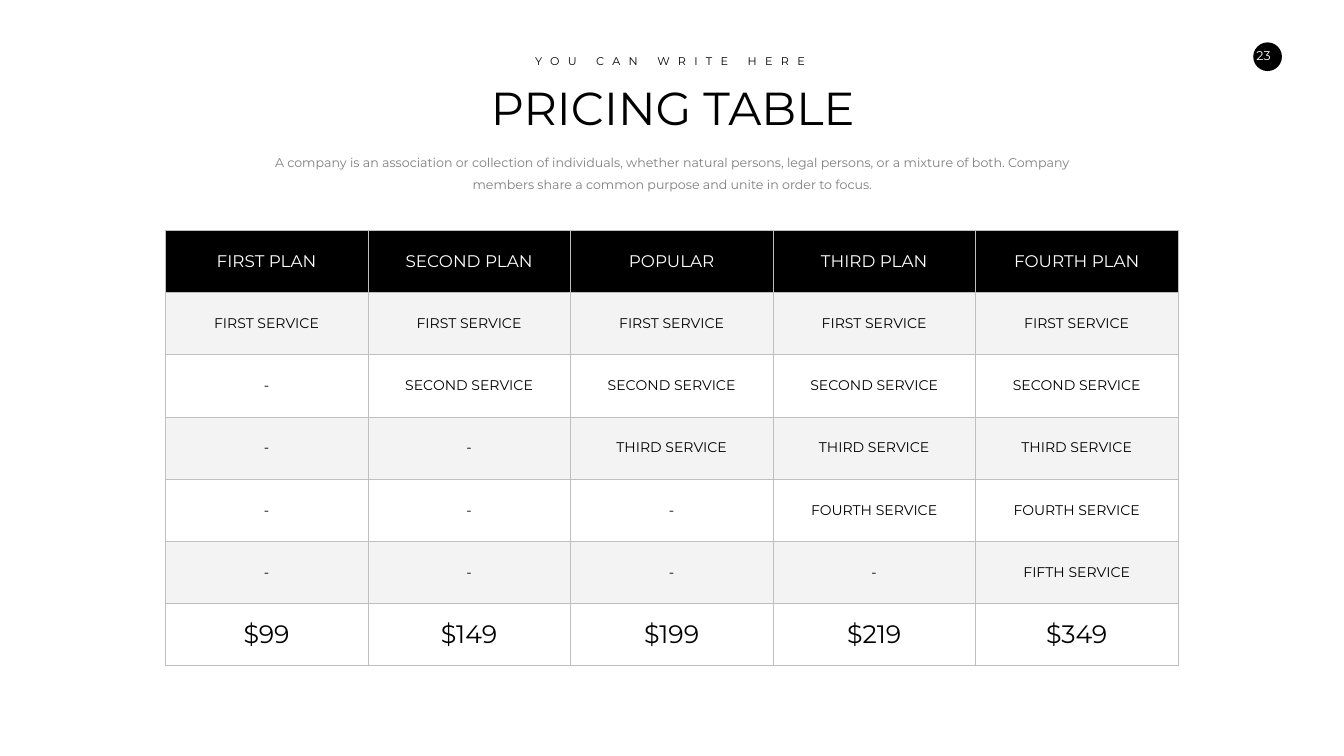
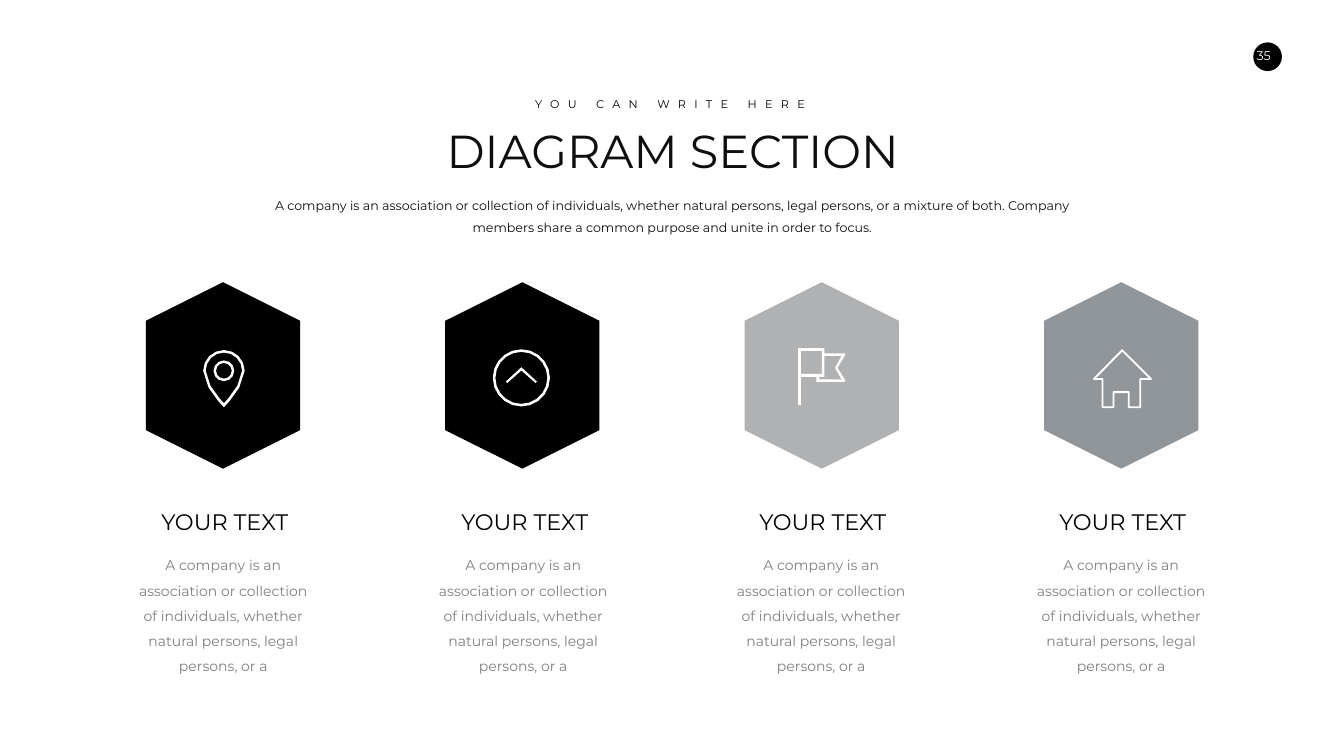
from dataclasses import dataclass
from math import cos, pi, sin

from lxml.etree import SubElement
from pptx import Presentation
from pptx.dml.color import RGBColor
from pptx.enum.shapes import MSO_SHAPE
from pptx.enum.text import MSO_ANCHOR, PP_ALIGN
from pptx.oxml.ns import qn
from pptx.shapes.autoshape import Shape
from pptx.slide import Slide
from pptx.table import _Cell
from pptx.text.text import TextFrame
from pptx.util import Pt

BLACK = RGBColor(0x00, 0x00, 0x00)
INK = RGBColor(0x0E, 0x0E, 0x0E)
WHITE = RGBColor(0xFF, 0xFF, 0xFF)
TEXT_GRAY = RGBColor(0x7F, 0x7F, 0x7F)
BAND_GRAY = RGBColor(0xF3, 0xF3, 0xF3)
BORDER_GRAY = RGBColor(0xBF, 0xBF, 0xBF)
LIGHT_GRAY = RGBColor(0xB0, 0xB1, 0xB3)
STEEL_GRAY = RGBColor(0x91, 0x96, 0x9B)

FONT = "Montserrat"
CENTER_X = 960.7
SUMMARY = ("A company is an association or collection of individuals, whether natural persons, "
           "legal persons, or a mixture of both. Company members share a common purpose "
           "and unite in order to focus.")
STEP_TEXT = ("A company is an association or collection of individuals, whether natural persons, "
             "legal persons, or a")
HEXAGON_LEFT, HEXAGON_PITCH = 185.2, 427.68

PLANS = ["FIRST PLAN", "SECOND PLAN", "POPULAR", "THIRD PLAN", "FOURTH PLAN"]
SERVICES = ["FIRST SERVICE", "SECOND SERVICE", "THIRD SERVICE", "FOURTH SERVICE", "FIFTH SERVICE"]
PRICES = ["$99", "$149", "$199", "$219", "$349"]

Point = tuple[float, float]
Contour = list[Point]


@dataclass
class Box:
    left: float
    top: float
    width: float
    height: float

    def emu(self) -> tuple[Pt, Pt, Pt, Pt]:
        return Pt(self.left), Pt(self.top), Pt(self.width), Pt(self.height)


@dataclass
class Icon:
    left: float
    top: float
    contours: list[Contour]
    outlined: bool = False


@dataclass
class Step:
    color: RGBColor
    text_left: float
    icon: Icon


@dataclass
class TableRow:
    texts: list[str]
    size: float
    fill: RGBColor
    color: RGBColor = BLACK


def circle(cx: float, cy: float, radius: float, steps: int) -> Contour:
    angles = [2 * pi * i / steps for i in range(steps)]
    return [(cx + radius * cos(a), cy + radius * sin(a)) for a in angles]


def pin_outline(cx: float, cy: float, radius: float, tip: float) -> Contour:
    arc_steps, side_steps = 8, 3
    angles = [pi * i / arc_steps for i in range(arc_steps + 1)]
    arc = [(cx + radius * cos(a), cy - radius * sin(a)) for a in angles]
    side = []
    for i in range(1, side_steps + 1):
        t = i / side_steps
        u = 1 - t
        reach = radius * (u ** 3 + 3 * u * u * t)
        y = cy * u ** 3 + 3 * u * u * t * (cy + 0.8 * radius) + tip * (3 * u * t * t + t ** 3)
        side.append((reach, y))
    left = [(cx - reach, y) for reach, y in side]
    right = [(cx + reach, y) for reach, y in reversed(side[:-1])]
    return arc + left + right


PIN = Icon(290.2, 499.7, [
    pin_outline(29.6, 30, 29.6, 82), pin_outline(29.6, 30, 26, 76.3),
    circle(29.6, 30, 14.8, 12), circle(29.6, 30, 11.2, 12)])
ARROW_UP = Icon(703.8, 499, [
    circle(40.8, 40.8, 40.8, 20), circle(40.8, 40.8, 37.1, 20),
    [(40.8, 25.6), (18.7, 46), (20.6, 48.2), (40.8, 30.2), (61, 48.2), (62.9, 46)]])
FLAG = Icon(1140, 497.5, [
    [(0, 0), (37.4, 0), (37.4, 7.2), (67, 7.2), (67, 10), (56.2, 28), (67, 45.4),
     (67, 48.2), (26, 48.2), (26, 41), (4, 41), (4, 81.4), (0, 81.4)],
    [(4, 3.6), (33.8, 3.6), (33.8, 36.7), (4, 36.7)],
    [(30.2, 44.6), (30.2, 41), (37.4, 41), (37.4, 10.8), (62, 10.8), (52.6, 28), (62, 44.6)]])
HOUSE = Icon(1562.4, 500.4, [
    [(40.3, 0), (0, 41), (12.2, 41), (12.2, 81.4), (28, 81.4), (28, 59.8), (49.7, 59.8),
     (49.7, 81.4), (66.2, 81.4), (66.2, 41), (81.4, 41)]], outlined=True)

STEPS = [
    Step(BLACK, 181.4, PIN),
    Step(BLACK, 609.8, ARROW_UP),
    Step(LIGHT_GRAY, 1035.4, FLAG),
    Step(STEEL_GRAY, 1463.8, HOUSE),
]


def write(tf: TextFrame, text: str, *, size: float, color: RGBColor = BLACK,
          line_spacing: float | None = None, tracking: float = 0) -> None:
    tf.word_wrap = True
    p = tf.paragraphs[0]
    p.alignment = PP_ALIGN.CENTER
    if line_spacing:
        p.line_spacing = line_spacing
    r = p.add_run()
    r.text = text
    r.font.name = FONT
    r.font.size = Pt(size)
    r.font.color.rgb = color
    if tracking:
        r.font._element.set("spc", str(round(tracking * 100)))


def add_text(s: Slide, box: Box, text: str, **fmt) -> TextFrame:
    tf = s.shapes.add_textbox(*box.emu()).text_frame
    write(tf, text, **fmt)
    return tf


def add_solid(s: Slide, kind: MSO_SHAPE, box: Box, color: RGBColor) -> Shape:
    sp = s.shapes.add_shape(kind, *box.emu())
    sp.shadow.inherit = False
    sp.rotation = 270
    sp.fill.solid()
    sp.fill.fore_color.rgb = color
    sp.line.fill.background()
    return sp


def add_icon(s: Slide, icon: Icon) -> None:
    first, *holes = [[(Pt(x), Pt(y)) for x, y in contour] for contour in icon.contours]
    builder = s.shapes.build_freeform(*first[0])
    builder.add_line_segments(first[1:], close=True)
    for hole in holes:
        builder.move_to(*hole[0])
        builder.add_line_segments(hole[1:], close=True)
    sp = builder.convert_to_shape(Pt(icon.left), Pt(icon.top))
    sp.shadow.inherit = False
    if icon.outlined:
        sp.fill.background()
        sp.line.color.rgb = WHITE
        sp.line.width = Pt(2.7)
    else:
        sp.fill.solid()
        sp.fill.fore_color.rgb = WHITE
        sp.line.fill.background()


def add_page_number(s: Slide, number: int) -> None:
    add_solid(s, MSO_SHAPE.OVAL, Box(1789.9, 60.5, 41, 41), BLACK)
    tf = add_text(s, Box(1778.4, 60.5, 61.9, 36), str(number), size=18, color=WHITE)
    tf.margin_left, tf.margin_right = Pt(14.4), Pt(23.6)
    tf.margin_top, tf.margin_bottom = Pt(8), Pt(7.2)


def add_header(s: Slide, top: float, title: str, title_width: float,
               title_color: RGBColor, summary_color: RGBColor) -> None:
    add_text(s, Box(CENTER_X - title_width / 2, top + 36.4, title_width, 87.1), title,
             size=66, color=title_color)
    add_text(s, Box(749, top, 416.2, 26.6), "YOU CAN WRITE HERE", size=16, tracking=11.9)
    add_text(s, Box(383.2, top + 133.2, 1154.2, 70.6), SUMMARY, size=18,
             color=summary_color, line_spacing=1.5)


def set_borders(cell: _Cell) -> None:
    tc_pr = cell._tc.get_or_add_tcPr()
    for i, side in enumerate(("lnL", "lnR", "lnT", "lnB")):
        ln = SubElement(tc_pr, qn(f"a:{side}"), w=str(Pt(0.75)))
        fill = SubElement(ln, qn("a:solidFill"))
        SubElement(fill, qn("a:srgbClr"), val=str(BORDER_GRAY))
        tc_pr.insert(i, ln)


def add_pricing_table(s: Slide) -> None:
    rows = [TableRow(PLANS, 24, BLACK, WHITE)]
    for i, service in enumerate(SERVICES):
        texts = ["-"] * i + [service] * (len(PLANS) - i)
        rows.append(TableRow(texts, 20, WHITE if i % 2 else BAND_GRAY))
    rows.append(TableRow(PRICES, 36, WHITE))

    box = Box(236, 329.2, 1446.4, 621.4)
    table = s.shapes.add_table(len(rows), len(PLANS), *box.emu()).table
    table.first_row = table.horz_banding = False
    for column in table.columns:
        column.width = Pt(box.width / len(PLANS))
    for i, row in enumerate(rows):
        table.rows[i].height = Pt(box.height / len(rows))
        for j, text in enumerate(row.texts):
            cell = table.cell(i, j)
            cell.vertical_anchor = MSO_ANCHOR.MIDDLE
            cell.fill.solid()
            cell.fill.fore_color.rgb = row.fill
            set_borders(cell)
            write(cell.text_frame, text, size=row.size, color=row.color)


def add_step(s: Slide, index: int, step: Step) -> None:
    hexagon_left = HEXAGON_LEFT + index * HEXAGON_PITCH
    add_solid(s, MSO_SHAPE.HEXAGON, Box(hexagon_left, 426.2, 266.4, 220.3), step.color)
    add_icon(s, step.icon)
    add_text(s, Box(step.text_left + 13, 722.2, 253.4, 46.1), "YOUR TEXT", size=32)
    add_text(s, Box(step.text_left, 780, 275, 189.4), STEP_TEXT, size=20,
             color=TEXT_GRAY, line_spacing=1.5)


def add_slide(prs: Presentation, number: int) -> Slide:
    s = prs.slides.add_slide(prs.slide_layouts[6])
    add_page_number(s, number)
    return s


def main() -> None:
    prs = Presentation()
    prs.slide_width, prs.slide_height = Pt(1919.52), Pt(1080)

    s = add_slide(prs, 23)
    add_pricing_table(s)
    add_header(s, 73.4, "PRICING TABLE", 607, BLACK, TEXT_GRAY)

    s = add_slide(prs, 35)
    add_header(s, 134.8, "DIAGRAM SECTION", 749.5, INK, INK)
    for index, step in enumerate(STEPS):
        add_step(s, index, step)

    prs.save("out.pptx")


if __name__ == "__main__":
    main()
